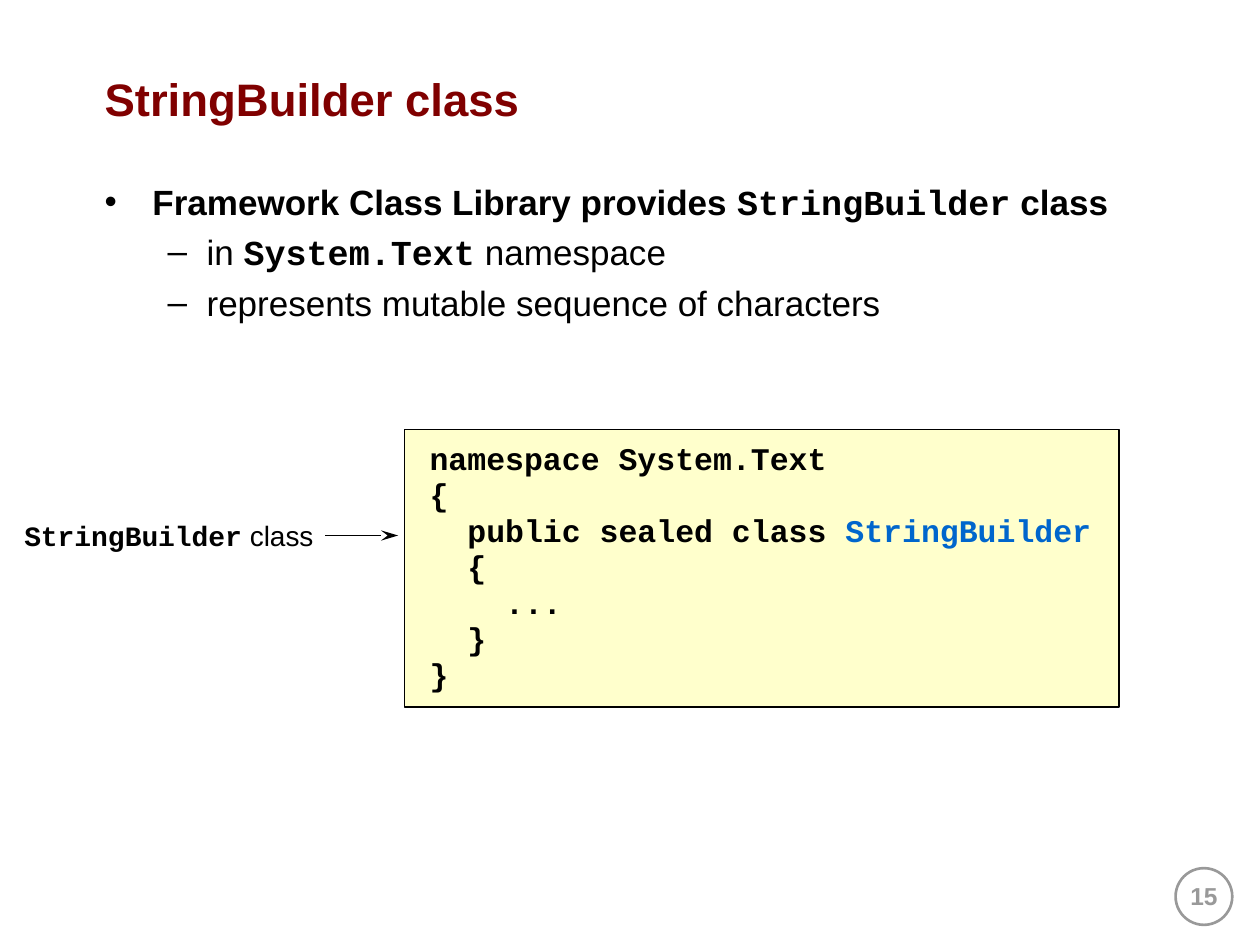
from pptx import Presentation, util as u
from pptx.dml import color
from pptx.enum import shapes, text
from pptx.oxml import ns
from lxml import etree

Inches, Pt = u.Inches, u.Pt
SANS, MONO = "Arial", "Courier New"
BLACK, GRAY = "000000", "999999"


def rgb(value):
    return color.RGBColor.from_string(value)


def place(sp, box):
    sp.left, sp.top, sp.width, sp.height = map(Inches, box)


def add_run(p, words, size, font=SANS, bold=False, hue=BLACK):
    r = p.add_run()
    r.text = words
    r.font.size, r.font.name, r.font.bold = Pt(size), font, bold
    r.font.color.rgb = rgb(hue)


def set_indent(p, left, first):
    pPr = p._p.get_or_add_pPr()
    pPr.set("marL", str(Inches(left)))
    pPr.set("indent", str(Inches(first)))


def add_paragraphs(tf, count):
    for _ in range(count - 1):
        tf.add_paragraph()
    return tf.paragraphs


def set_frame(tf, dx, dy, wrap=False):
    tf.word_wrap = wrap
    tf.margin_left = tf.margin_right = Inches(dx)
    tf.margin_top = tf.margin_bottom = Inches(dy)
    tf.vertical_anchor = text.MSO_ANCHOR.TOP


def add_box(s, kind, box, fill=None, line=None, width=1):
    sp = s.shapes.add_shape(kind, *map(Inches, box))
    sp.shadow.inherit = False
    if fill:
        sp.fill.solid()
        sp.fill.fore_color.rgb = rgb(fill)
    else:
        sp.fill.background()
    if line:
        sp.line.color.rgb = rgb(line)
        sp.line.width = Pt(width)
    else:
        sp.line.fill.background()
    return sp


def page_number(s, box, number):
    left, top, size, _ = box
    add_box(s, shapes.MSO_SHAPE.OVAL, box, "FFFFFF", GRAY, 1.5)
    tb = s.shapes.add_textbox(*map(Inches, (left - 0.15, top + 0.05, size + 0.3, 0.5)))
    set_frame(tb.text_frame, 0.1, 0.05, True)
    p = tb.text_frame.paragraphs[0]
    p.alignment = text.PP_ALIGN.CENTER
    add_run(p, number, 14, bold=True, hue=GRAY)


def title(s, box, words):
    sp = s.shapes.title
    place(sp, box)
    sp.text_frame.vertical_anchor = text.MSO_ANCHOR.MIDDLE
    p = sp.text_frame.paragraphs[0]
    p.alignment = text.PP_ALIGN.LEFT
    add_run(p, words, 26, bold=True, hue="800000")


def bullets(s, box, items):
    sp = s.placeholders[1]
    place(sp, box)
    indents = [(0.38, -0.38), (0.81, -0.31)]
    for p, (level, runs) in zip(add_paragraphs(sp.text_frame, len(items)), items):
        p.level = level
        p.space_before = Pt(5)
        set_indent(p, *indents[level])
        for words, font in runs:
            add_run(p, words, 20, font, level == 0 or font == MONO)


def code(s, box, lines, name):
    sp = add_box(s, shapes.MSO_SHAPE.RECTANGLE, box, "FFFFCC", BLACK)
    tf = sp.text_frame
    set_frame(tf, 0.2, 0.1)
    for p, line in zip(add_paragraphs(tf, len(lines)), lines):
        p.alignment = text.PP_ALIGN.LEFT
        p.line_spacing = 0.95
        before, found, _ = line.partition(name)
        add_run(p, before, 18, MONO, True)
        if found:
            add_run(p, found, 18, MONO, True, "0066CC")


def label(s, box, name, rest):
    left, top, width, height = box
    sp = add_box(s, shapes.MSO_SHAPE.ROUNDED_RECTANGLE, (left, top, 2.54, height))
    sp.adjustments[0] = 0.125
    set_frame(sp.text_frame, 0.1, 0.05)
    p = sp.text_frame.paragraphs[0]
    p.alignment = text.PP_ALIGN.LEFT
    add_run(p, name, 16, MONO, True)
    add_run(p, rest, 16)
    y = top + height / 2
    cx = s.shapes.add_connector(shapes.MSO_CONNECTOR.STRAIGHT,
                                *map(Inches, (left + 2.5, y, left + width, y)))
    cx.line.color.rgb = rgb(BLACK)
    cx.line.width = Pt(1)
    spPr = cx._element.spPr
    etree.SubElement(spPr.find(ns.qn("a:ln")), ns.qn("a:tailEnd"),
                     type="stealth", w="med", len="lg")
    etree.SubElement(spPr, ns.qn("a:effectLst"))


def main():
    prs = Presentation()
    prs.slide_width, prs.slide_height = Inches(10), Inches(7.5)
    s = prs.slides.add_slide(prs.slide_layouts[1])
    name = "StringBuilder"
    page_number(s, (9.33, 6.89, 0.45, 0.45), "15")
    title(s, (0.73, 0.2, 8.77, 1.16), "StringBuilder class")
    bullets(s, (0.73, 1.38, 8.77, 5.22), [
        (0, [("Framework Class Library provides ", SANS), (name, MONO), (" class", SANS)]),
        (1, [("in ", SANS), ("System.Text", MONO), (" namespace", SANS)]),
        (1, [("represents mutable sequence of characters", SANS)]),
    ])
    code(s, (3.21, 3.41, 5.67, 2.2), [
        "namespace System.Text",
        "{",
        "  public sealed class StringBuilder",
        "  {",
        "    ...",
        "  }",
        "}",
    ], name)
    label(s, (0.08, 4.05, 3.08, 0.4), name, " class")
    prs.save("out.pptx")


if __name__ == "__main__":
    main()
